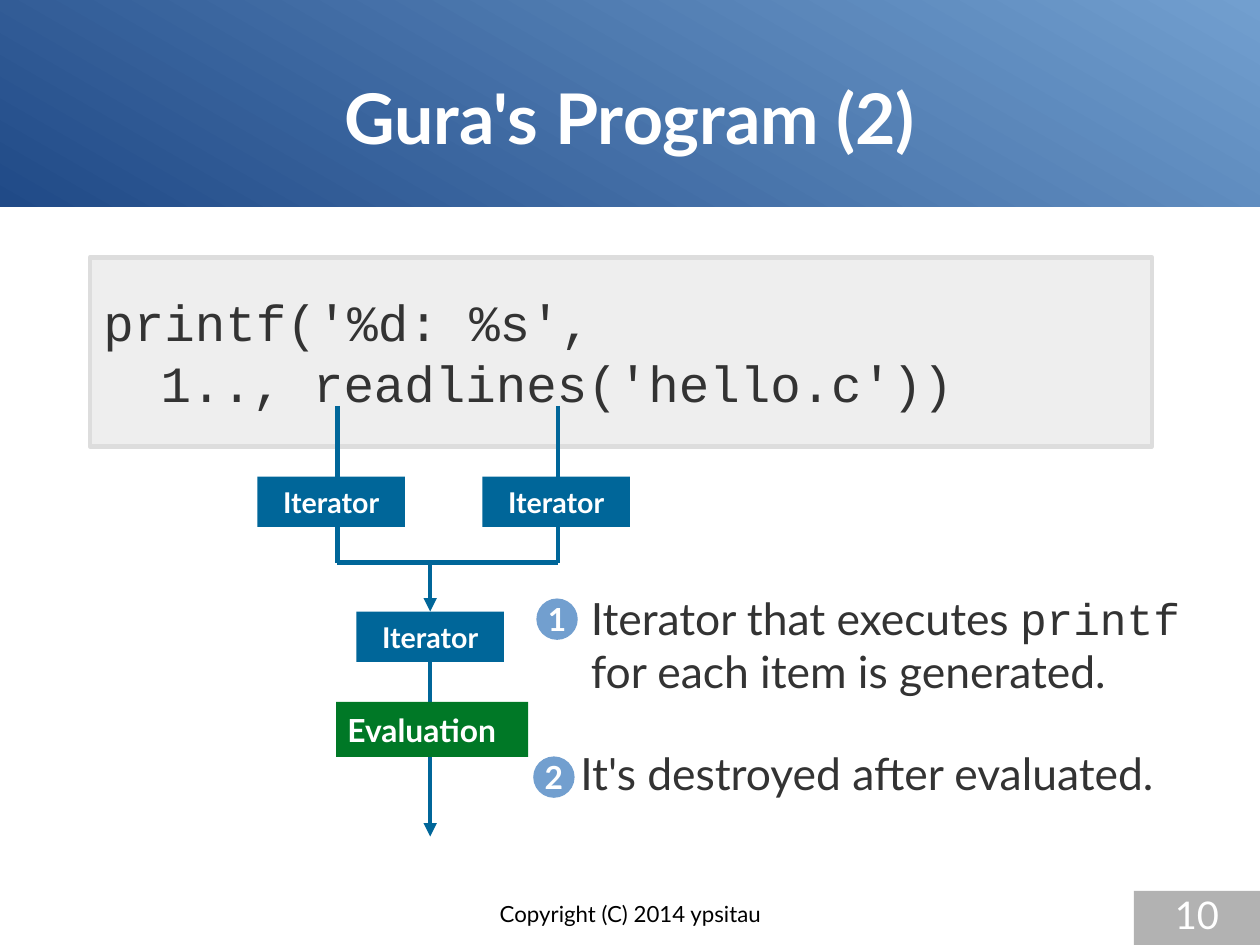
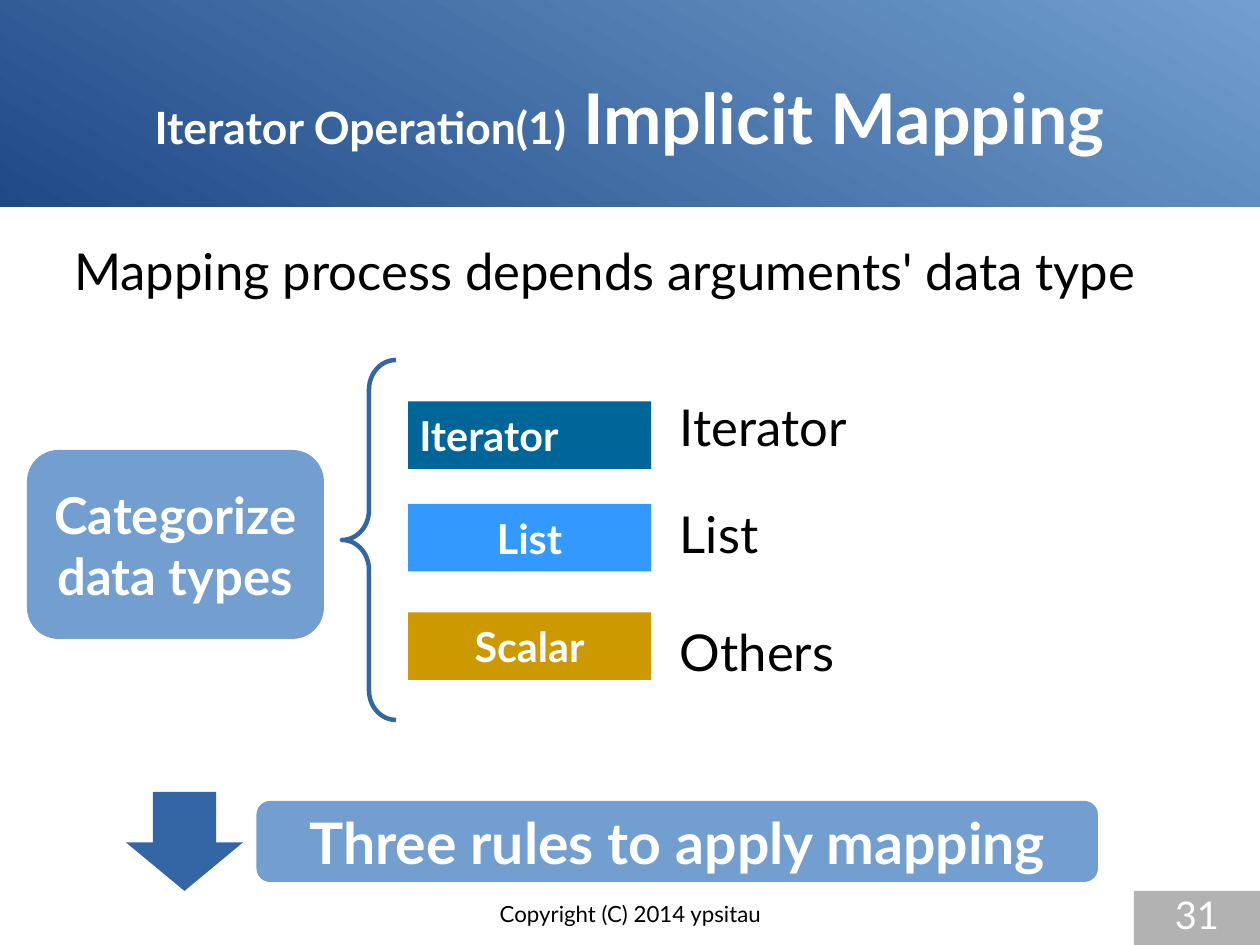
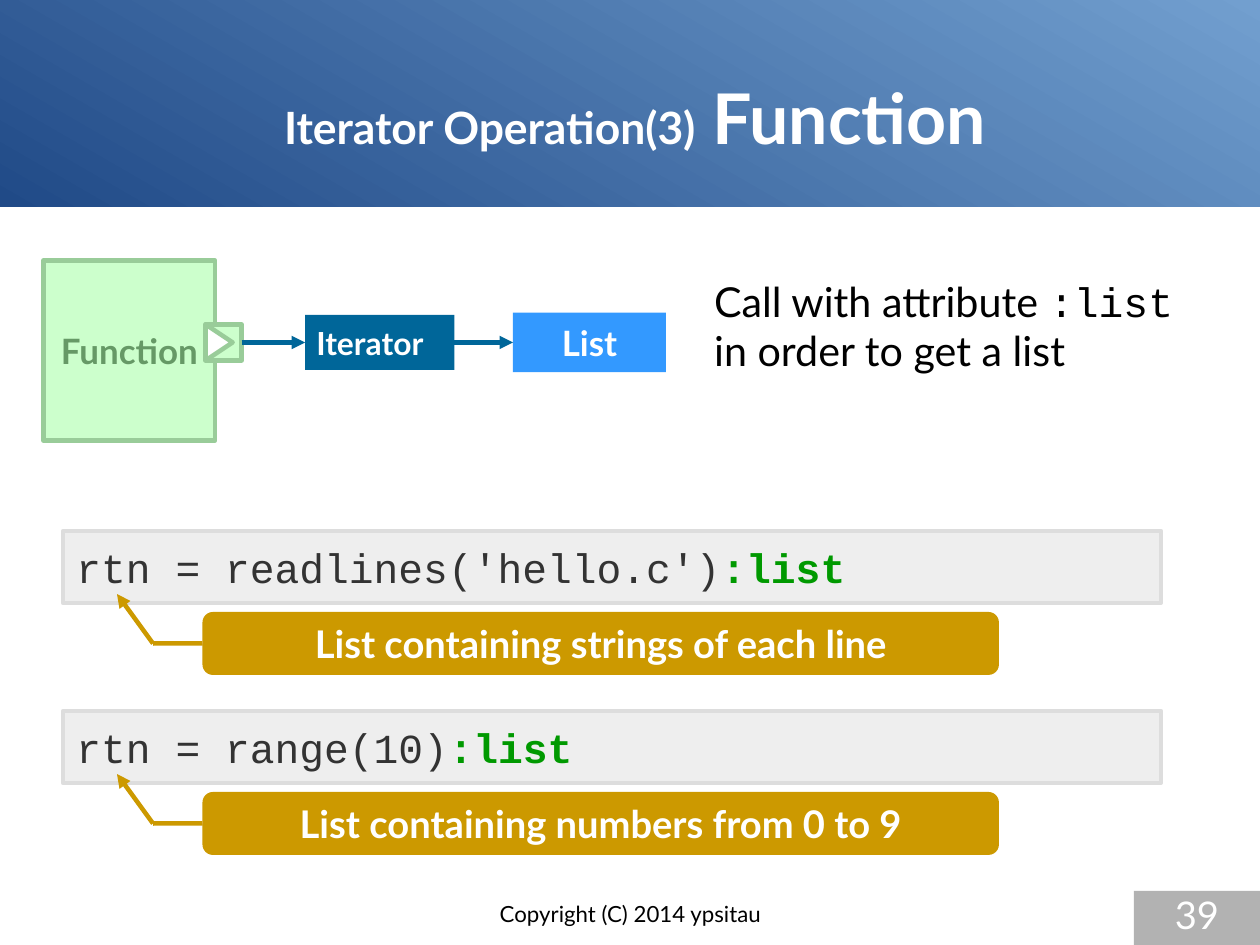
from lxml import etree
from pptx import Presentation
from pptx.dml.color import RGBColor
from pptx.enum.shapes import MSO_CONNECTOR, MSO_SHAPE
from pptx.enum.text import MSO_ANCHOR, PP_ALIGN
from pptx.oxml.ns import qn
from pptx.util import Cm, Pt

RECT, ROUND = MSO_SHAPE.RECTANGLE, MSO_SHAPE.ROUNDED_RECTANGLE
OVAL, BRACE = MSO_SHAPE.OVAL, MSO_SHAPE.LEFT_BRACE
DOWN, WEDGE = MSO_SHAPE.DOWN_ARROW, MSO_SHAPE.ISOSCELES_TRIANGLE
STRAIGHT = MSO_CONNECTOR.STRAIGHT
LEFT, MID = PP_ALIGN.LEFT, PP_ALIGN.CENTER
TOP, CENTER = MSO_ANCHOR.TOP, MSO_ANCHOR.MIDDLE

SANS, MONO = "Lato", "Courier New"
WHITE, BLACK, DARK = "FFFFFF", "000000", "333333"
NAVY, SKY, BLUE = "204A87", "729FCF", "3465A4"
TEAL, AZURE, GOLD, GREEN = "006699", "3399FF", "CC9900", "007826"
MINT, LEAF = "CCFFCC", "99CC99"
STROKE = Pt(2.83)
tint = RGBColor.from_string

# Text styles
LABEL = dict(tone=WHITE, bold=True)
NOTE = dict(align=LEFT, anchor=TOP)
CODE = dict(fill="EEEEEE", edge="DDDDDD", tone=DARK, face=MONO, align=LEFT,
            inset=(0.3, 0.18))


def box(slide, kind, at, lines=(), size=18, tone=BLACK, bold=False, face=SANS,
        align=MID, anchor=CENTER, inset=(0.25, 0.13), fill=None, edge=None):
    """Add a shape, or a text box if kind is None.

    Each line is a list of runs: a string, or a string with its own style.
    """
    at = [Cm(n) for n in at]
    if kind is None:
        shape = slide.shapes.add_textbox(*at)
    else:
        shape = slide.shapes.add_shape(kind, *at)
        shape.shadow.inherit = False
        if fill:
            shape.fill.solid()
            shape.fill.fore_color.rgb = tint(fill)
        else:
            shape.fill.background()
        if edge:
            shape.line.color.rgb = tint(edge)
            shape.line.width = STROKE
        else:
            shape.line.fill.background()
    frame = shape.text_frame
    frame.word_wrap = True
    frame.vertical_anchor = anchor
    frame.margin_left = frame.margin_right = Cm(inset[0])
    frame.margin_top = frame.margin_bottom = Cm(inset[1])
    for i, line in enumerate(lines):
        para = frame.add_paragraph() if i else frame.paragraphs[0]
        para.alignment = align
        for part in line:
            text, own = (part, {}) if isinstance(part, str) else part
            run = para.add_run()
            run.text = text
            run.font.size = Pt(own.get("size", size))
            run.font.name = own.get("face", face)
            run.font.bold = own.get("bold", bold)
            run.font.color.rgb = tint(own.get("tone", tone))
    return shape


def link(slide, start, end, tone=TEAL, arrow=False):
    """Add a straight line, with an arrowhead at its end if asked."""
    line = slide.shapes.add_connector(
        STRAIGHT, *[Cm(n) for n in (*start, *end)])
    line.line.color.rgb = tint(tone)
    line.line.width = STROKE
    props = line._element.spPr
    if arrow:
        tip = etree.SubElement(props.find(qn("a:ln")), qn("a:tailEnd"))
        tip.set("type", "triangle")
    etree.SubElement(props, qn("a:effectLst"))
    return line


deck = Presentation()
deck.slide_width, deck.slide_height = Cm(28), Cm(21)

# Shared band, title, footer and page number
small = dict(size=28)
heads = [
    (["Gura's Program (2)"], 14, "10"),
    ([("Iterator Operation(1)", small), " Implicit Mapping"], 14, "31"),
    ([("Iterator Operation(3)", small), " Function"], 14.12, "39"),
]
for title, mid, page in heads:
    slide = deck.slides.add_slide(deck.slide_layouts[6])
    band = box(slide, RECT, (0, 0, 28, 4.6))
    band.fill.gradient()
    band.fill.gradient_angle = 60
    for stop, tone in zip(band.fill.gradient_stops, (NAVY, SKY)):
        stop.color.rgb = tint(tone)
    box(slide, None, (mid - 13, 0.84, 26, 3.5), [title], 44,
        inset=(0, 0), **LABEL)
    box(slide, None, (9.58, 20, 8.86, 1), [["Copyright (C) 2014 ypsitau"]], 14,
        anchor=TOP, inset=(0, 0))
    box(slide, RECT, (25.2, 19.8, 2.8, 1.2), [[page]], 24, WHITE,
        anchor=TOP, inset=(0, 0), fill="B2B2B2")
prog, kinds, func = deck.slides

# Program: code
box(prog, RECT, (2, 5.72, 23.6, 4.2),
    [["printf('%d: %s',"], ["\t1.., readlines('hello.c'))"]], 32, **CODE)

# Program: flow from two iterators into one
bar, left, right = 12.5, 7.5, 12.4
for x in (left, right):
    link(prog, (x, 9.02), (x, bar))
link(prog, (left, bar), (right, bar))
nodes = [box(prog, RECT, (x, y, 3.28, 1.12), [["Iterator"]], 18, fill=TEAL,
             **LABEL)
         for x, y in ((5.72, 10.59), (10.72, 10.59), (7.92, 13.59))]
link(prog, (9.56, bar), (9.56, 13.59), arrow=True).end_connect(nodes[2], 0)
link(prog, (9.56, 14.71), (9.56, 18.59), arrow=True).begin_connect(nodes[2], 2)
box(prog, RECT, (7.47, 15.6, 4.27, 1.22), [["Evaluation"]], 20, align=LEFT,
    fill=GREEN, **LABEL)

# Program: numbered notes
box(prog, None, (12.88, 13, 14.3, 2.95),
    [["Iterator that executes ", ("printf", dict(face=MONO))],
     ["for each item is generated."]], 28, DARK, **NOTE)
box(prog, None, (12.65, 16.46, 14.28, 1.6),
    [["It's destroyed after evaluated."]], 28, DARK, **NOTE)
for mark, x, y in (("1", 11.92, 13.3), ("2", 11.85, 16.81)):
    box(prog, OVAL, (x, y, 0.92, 0.92), [[mark]], 20, inset=(0, 0), fill=SKY,
        **LABEL)

# Mapping: data types
box(kinds, None, (1.4, 5.2, 26.16, 1.78),
    [["Mapping process depends arguments' data type"]], 32, **NOTE)
box(kinds, ROUND, (0.6, 10, 6.6, 4.2), [["Categorize"], ["data types"]], 32,
    fill=SKY, **LABEL)
brace = box(kinds, BRACE, (7.6, 8, 1.2, 8), edge=BLUE)
brace.adjustments[0] = 0.55
rows = [
    ("Iterator", TEAL, LEFT, 8.92, "Iterator", 8.66),
    ("List", AZURE, MID, 11.2, "List", 11.05),
    ("Scalar", GOLD, MID, 13.61, "Others", 13.66),
]
for name, tone, align, y, note, top in rows:
    box(kinds, RECT, (9.07, y, 5.4, 1.5), [[name]], 26, align=align, fill=tone,
        **LABEL)
    box(kinds, None, (14.86, top, 5, 1.78), [[note]], 32, **NOTE)

# Mapping: conclusion
down = box(kinds, DOWN, (2.8, 17.6, 2.6, 2.2), fill=BLUE)
down.adjustments[0], down.adjustments[1] = 0.54, 0.49
box(kinds, ROUND, (5.7, 17.8, 18.7, 1.8), [["Three rules to apply mapping"]],
    36, fill=SKY, **LABEL)

# Function: flow to a list, all centred on one axis
axis = 7.61
box(func, RECT, (0.97, 5.79, 3.81, 4), [["Function"]], 22, "669966", True,
    fill=MINT, edge=LEAF)
port = box(func, RECT, (4.57, axis - 0.4, 0.8, 0.8), fill=MINT, edge=LEAF)
wedge = box(func, WEDGE, (4.47, axis - 0.3, 0.8, 0.6), fill=WHITE, edge=LEAF)
wedge.rotation = 90
iter_box = box(func, RECT, (6.78, axis - 0.61, 3.32, 1.22), [["Iterator"]], 20,
               align=LEFT, fill=TEAL, **LABEL)
list_box = box(func, RECT, (11.4, axis - 0.66, 3.4, 1.32), [["List"]], 22,
               fill=AZURE, **LABEL)
for one, two in ((port, iter_box), (iter_box, list_box)):
    arrow = link(func, (0, axis), (1, axis), arrow=True)
    arrow.begin_connect(one, 3)
    arrow.end_connect(two, 1)
box(func, None, (15.62, 6, 11.18, 2.77),
    [["Call with attribute ", (":list", dict(face=MONO))],
     ["in order to get a list"]], 26, **NOTE)

# Function: code samples with callouts
calls = [
    ("rtn = readlines('hello.c')", "List containing strings of each line"),
    ("rtn = range(10)", "List containing numbers from 0 to 9"),
]
for i, (code, note) in enumerate(calls):
    y = 11.8 + 4 * i
    bend = (3.4, y + 2.5)
    box(func, RECT, (1.4, y, 24.4, 1.6),
        [[code, (":list", dict(tone="009900", bold=True))]], 26, **CODE)
    call = box(func, ROUND, (4.5, y + 1.8, 17.7, 1.4), [[note]], 24, fill=GOLD,
               **LABEL)
    link(func, bend, (2.6, y + 1.4), GOLD, arrow=True)
    link(func, bend, (4.5, y + 2.5), GOLD).end_connect(call, 1)

deck.save("out.pptx")
